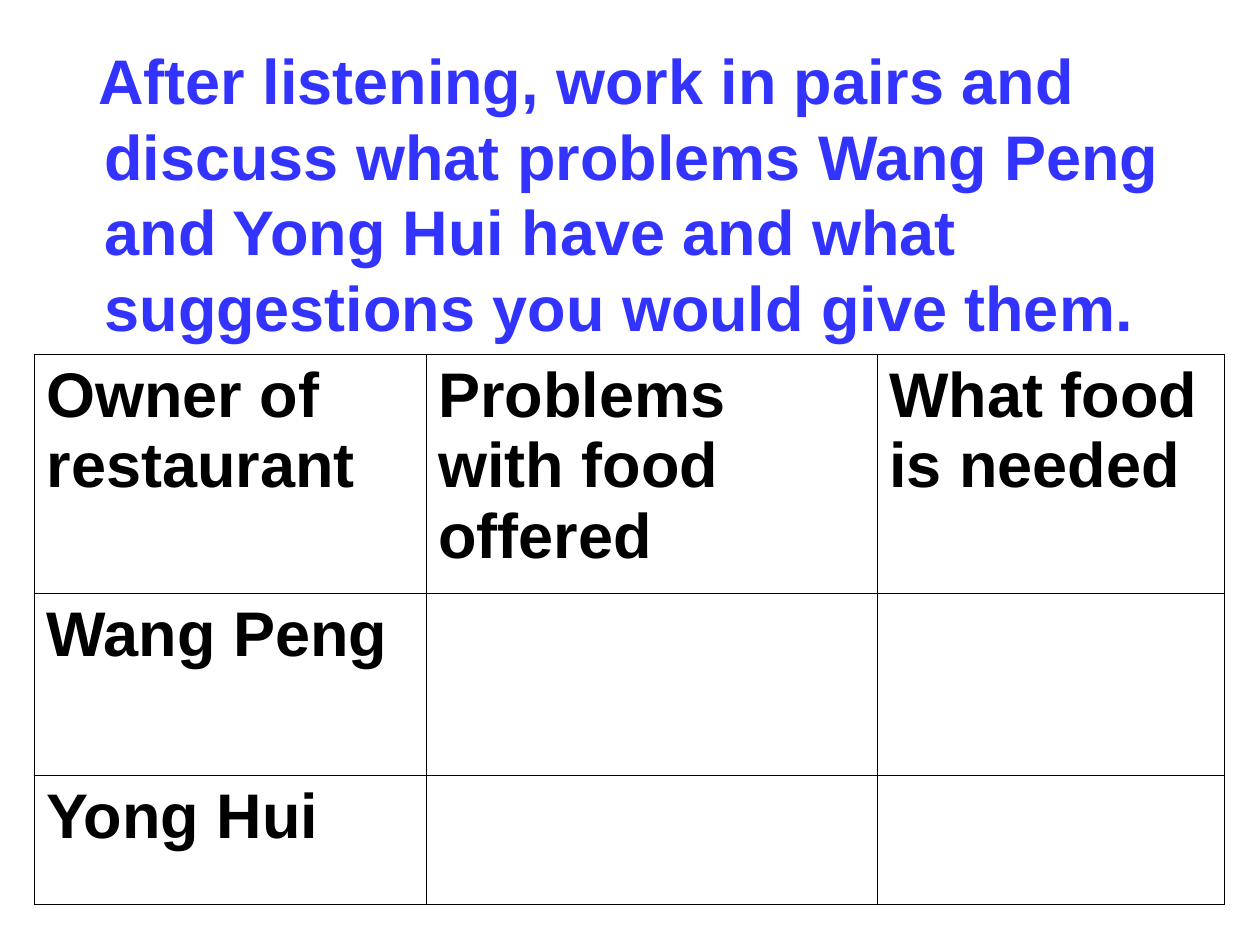
from lxml.etree import SubElement
from pptx import Presentation
from pptx.dml.color import RGBColor
from pptx.enum.text import MSO_ANCHOR, MSO_AUTO_SIZE, PP_ALIGN
from pptx.oxml.ns import qn
from pptx.util import Inches, Pt

# Content
TITLE = ("After listening, work in pairs and discuss what problems Wang Peng "
         "and Yong Hui have and what suggestions you would give them.")
ROWS = [
    ["Owner of restaurant", "Problems with food offered", "What food is needed"],
    ["Wang Peng", "", ""],
    ["Yong Hui", "", ""],
]

# Layout in inches
TITLE_BOX = (0.35, 0.28, 9.07, 2.71)
TABLE_LEFT, TABLE_TOP = 0.27, 2.81
COLUMN_WIDTHS = [3.11, 3.58, 2.76]
ROW_HEIGHTS = [1.9, 1.44, 1.03]
BLUE, BLACK = "3333FF", "000000"


def color(value):
    return RGBColor.from_string(value)


def write_text(frame, text, fill=BLACK, size=36, bold=True):
    paragraph = frame.paragraphs[0]
    paragraph.alignment = PP_ALIGN.LEFT
    paragraph.line_spacing = 1.0
    run = paragraph.add_run()
    run.text = text
    run.font.name = "Arial"
    run.font.size = Pt(size)
    run.font.bold = bold
    run.font.color.rgb = color(fill)
    return paragraph


def set_borders(cell, line_color=BLACK, width=0.45):
    properties = cell._tc.get_or_add_tcPr()
    for side in ("a:lnL", "a:lnR", "a:lnT", "a:lnB"):
        line = SubElement(properties, qn(side), w=str(Pt(width)))
        fill = SubElement(line, qn("a:solidFill"))
        SubElement(fill, qn("a:srgbClr"), val=line_color)


presentation = Presentation()
presentation.slide_width = Inches(10)
presentation.slide_height = Inches(7.5)
slide = presentation.slides.add_slide(presentation.slide_layouts[5])

# Task instruction with a slightly hanging first line
title = slide.shapes.title
title.left, title.top, title.width, title.height = map(Inches, TITLE_BOX)
frame = title.text_frame
frame.word_wrap = True
frame.auto_size = MSO_AUTO_SIZE.NONE
frame.vertical_anchor = MSO_ANCHOR.TOP
frame.margin_top = Inches(0.05)
paragraph = write_text(frame, TITLE, fill=BLUE)
paragraph_properties = paragraph._p.get_or_add_pPr()
paragraph_properties.set("marL", str(Inches(0.38)))
paragraph_properties.set("indent", str(Inches(-0.05)))

# Table to fill in
table = slide.shapes.add_table(
    len(ROWS), len(COLUMN_WIDTHS), Inches(TABLE_LEFT), Inches(TABLE_TOP),
    Inches(sum(COLUMN_WIDTHS)), Inches(sum(ROW_HEIGHTS))).table
table.first_row = table.horz_banding = False
for column, width in zip(table.columns, COLUMN_WIDTHS):
    column.width = Inches(width)
for row, height, texts in zip(table.rows, ROW_HEIGHTS, ROWS):
    row.height = Inches(height)
    for cell, text in zip(row.cells, texts):
        set_borders(cell)
        cell.fill.background()
        if text:
            write_text(cell.text_frame, text)

presentation.save("out.pptx")
